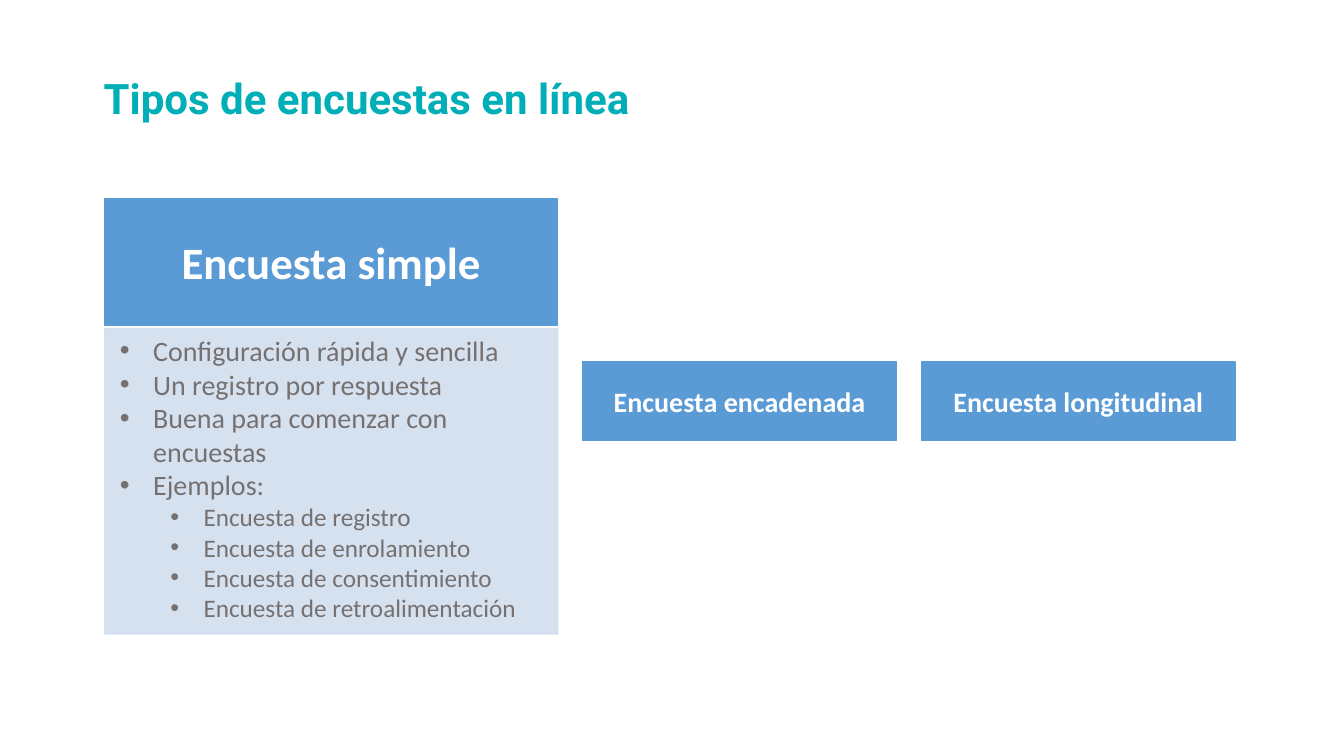
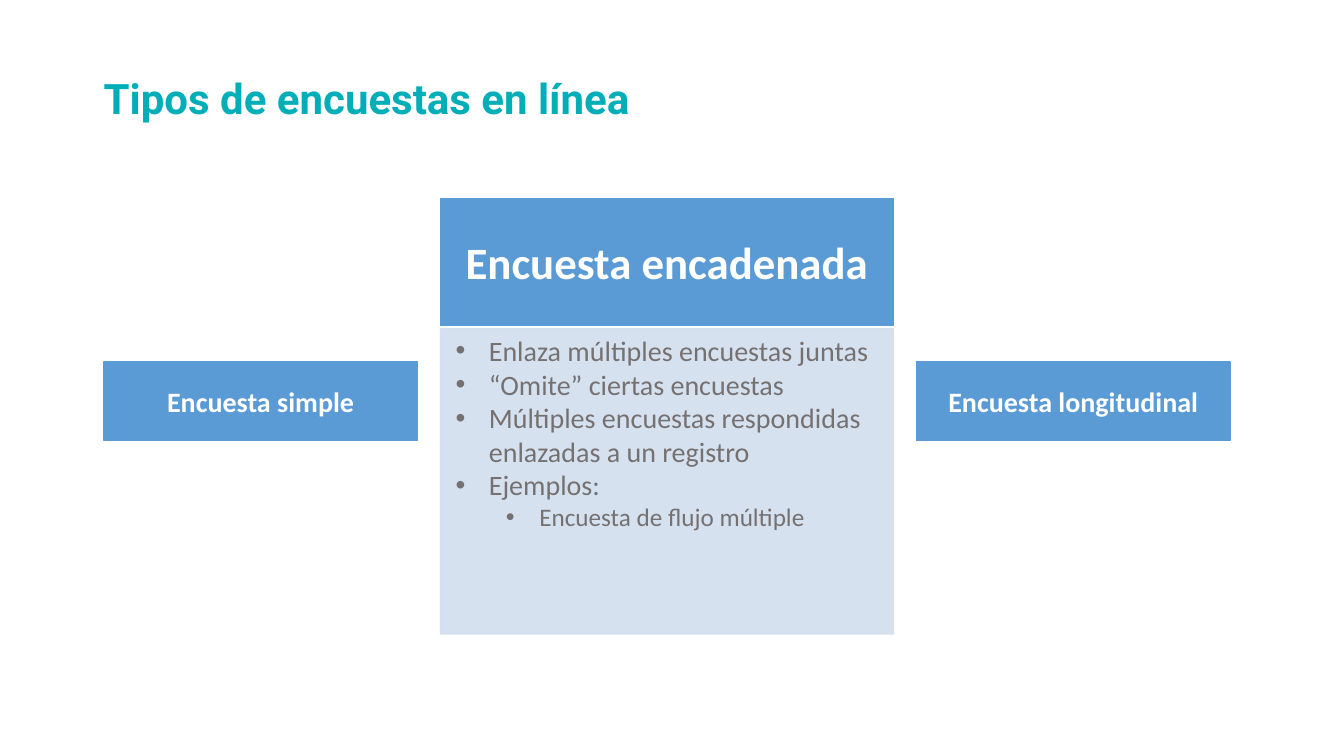
from pptx import Presentation
from pptx.dml.color import RGBColor
from pptx.enum.shapes import MSO_SHAPE
from pptx.enum.text import MSO_ANCHOR, MSO_AUTO_SIZE, PP_ALIGN
from pptx.oxml.ns import qn
from pptx.util import Inches, Pt
from lxml.etree import SubElement

# Content: survey types in reading order; each slide opens one of them
TITLE = "Tipos de encuestas en línea"
TYPES = ["Encuesta simple", "Encuesta encadenada", "Encuesta longitudinal"]
SLIDES = [
    {"open": 0, "left": 1.04, "gap": 0.25, "points": [
        (0, "Configuración rápida y sencilla"),
        (0, "Un registro por respuesta"),
        (0, "Buena para comenzar con encuestas"),
        (0, "Ejemplos:"),
        (1, "Encuesta de registro"),
        (1, "Encuesta de enrolamiento"),
        (1, "Encuesta de consentimiento"),
        (1, "Encuesta de retroalimentación")]},
    {"open": 1, "left": 1.03, "gap": 0.23, "points": [
        (0, "Enlaza múltiples encuestas juntas"),
        (0, "“Omite” ciertas encuestas"),
        (0, "Múltiples encuestas respondidas enlazadas a un registro"),
        (0, "Ejemplos:"),
        (1, "Encuesta de flujo múltiple")]},
]

# Shared style
TEAL, BLUE, PALE, GREY, WHITE = "00AEB8", "5B9BD5", "D2DEEF", "767171", "FFFFFF"
TITLE_FONT = {"name": "Roboto", "size": Pt(30), "bold": True}
HEAD_FONT = {"name": "Calibri", "size": Pt(32), "bold": True}
TAB_FONT = {"name": "Calibri", "size": Pt(20), "bold": True}
POINT_FONTS = [{"name": "Calibri", "size": Pt(size)} for size in (20, 18)]
OPEN_W, TAB_W = 4.49, 3.11
HEAD_Y, HEAD_H = 1.97, 1.26
PANEL_Y, PANEL_H = 3.26, 3.03
TAB_Y, TAB_H = 3.59, 0.78


def rgb(color):
    return RGBColor.from_string(color)


def add_text(p, text, style, color):
    r = p.add_run()
    r.text = text
    for name, value in style.items():
        setattr(r.font, name, value)
    r.font.color.rgb = rgb(color)


def add_box(s, x, y, w, h, color):
    sp = s.shapes.add_shape(MSO_SHAPE.RECTANGLE, *map(Inches, (x, y, w, h)))
    sp.shadow.inherit = False
    sp.fill.solid()
    sp.fill.fore_color.rgb = rgb(color)
    sp.line.color.rgb = rgb(color)
    sp.line.width = Pt(1)
    return sp


def add_label(s, x, y, w, h, text, style):
    tf = add_box(s, x, y, w, h, BLUE).text_frame
    tf.vertical_anchor = MSO_ANCHOR.MIDDLE
    p = tf.paragraphs[0]
    p.alignment = PP_ALIGN.CENTER
    add_text(p, text, style, WHITE)


def add_bullet(p, level):
    p.level = level
    p.alignment = PP_ALIGN.LEFT
    pPr = p._p.get_or_add_pPr()
    pPr.set("marL", str(Inches(0.38 + 0.5 * level)))
    pPr.set("indent", str(Inches(-0.33)))
    SubElement(pPr, qn("a:buFont"), typeface="Arial")
    SubElement(pPr, qn("a:buChar"), char="•")


def add_panel(s, x, points):
    sp = add_box(s, x, PANEL_Y, OPEN_W, PANEL_H, PALE)
    for clr in sp._element.spPr.iter(qn("a:srgbClr")):
        SubElement(clr, qn("a:alpha"), val="90000")
    tf = sp.text_frame
    tf.vertical_anchor = MSO_ANCHOR.TOP
    for i, (level, text) in enumerate(points):
        p = tf.add_paragraph() if i else tf.paragraphs[0]
        add_bullet(p, level)
        add_text(p, text, POINT_FONTS[level], GREY)


def add_title(s):
    tf = s.shapes.add_textbox(*map(Inches, (0.93, 0.67, 6.01, 0.61))).text_frame
    tf.word_wrap = True
    tf.auto_size = MSO_AUTO_SIZE.SHAPE_TO_FIT_TEXT
    add_text(tf.paragraphs[0], TITLE, TITLE_FONT, TEAL)


def build_slide(prs, data):
    s = prs.slides.add_slide(prs.slide_layouts[6])
    add_title(s)
    # Columns run left to right; the open one is wider and has a panel
    x = data["left"]
    for i, name in enumerate(TYPES):
        if i == data["open"]:
            w = OPEN_W
            add_label(s, x, HEAD_Y, w, HEAD_H, name, HEAD_FONT)
            add_panel(s, x, data["points"])
        else:
            w = TAB_W
            add_label(s, x, TAB_Y, w, TAB_H, name, TAB_FONT)
        x += w + data["gap"]


def main():
    prs = Presentation()
    prs.slide_width, prs.slide_height = Inches(13.33), Inches(7.5)
    for data in SLIDES:
        build_slide(prs, data)
    prs.save("out.pptx")


if __name__ == "__main__":
    main()
